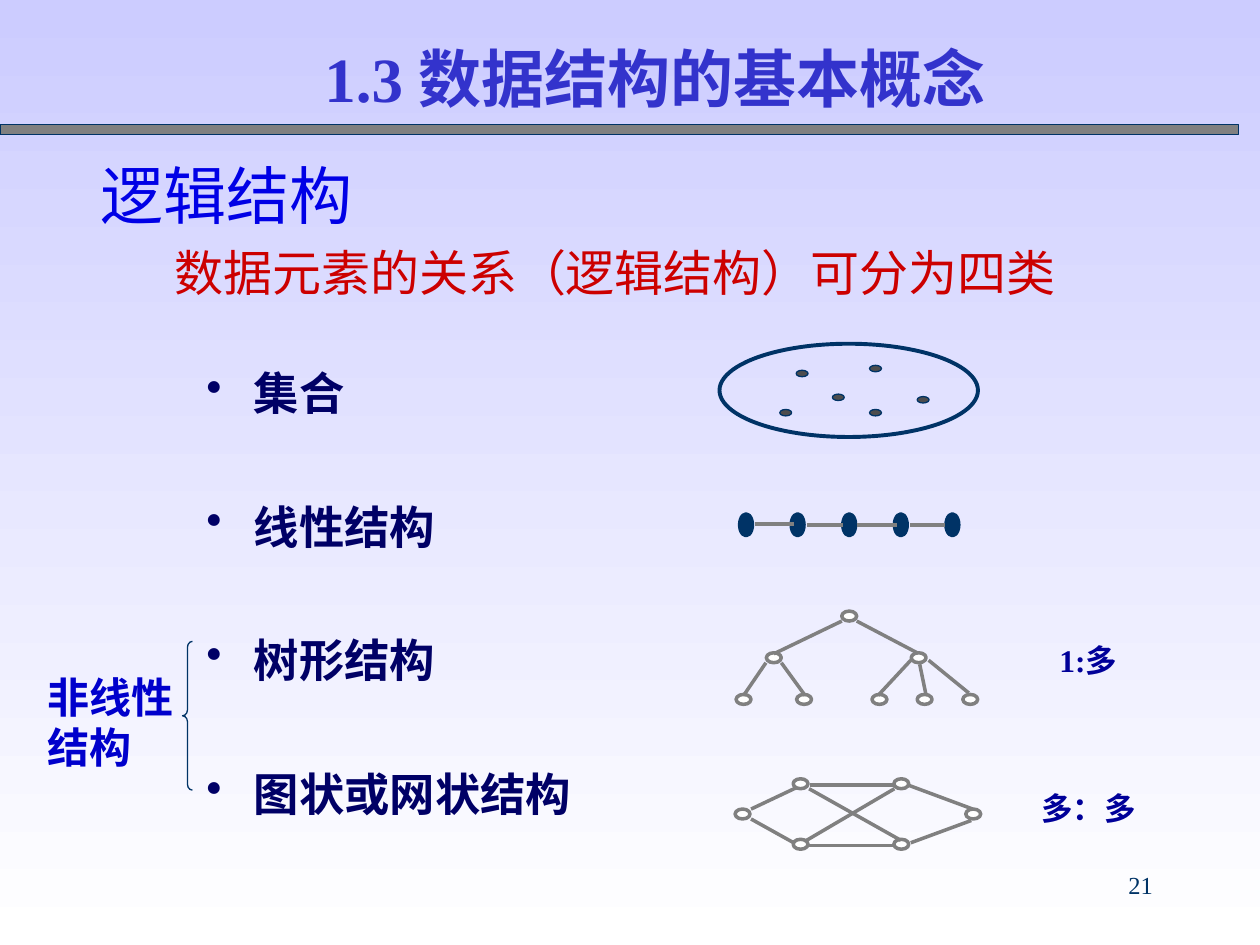
import pptx
import pptx.dml.color
import pptx.enum.shapes
import pptx.enum.text
import pptx.oxml.ns
import pptx.util
from lxml import etree

Cm = pptx.util.Cm
Pt = pptx.util.Pt
RGB = pptx.dml.color.RGBColor
KIND = pptx.enum.shapes.MSO_SHAPE
ALIGN = pptx.enum.text.PP_ALIGN
ANCHOR = pptx.enum.text.MSO_ANCHOR

LILAC = RGB(0xCC, 0xCC, 0xFF)
WHITE = RGB(0xFF, 0xFF, 0xFF)
GREY = RGB(0x80, 0x80, 0x80)
SMOKE = RGB(0x4D, 0x4D, 0x4D)
NAVY = RGB(0x00, 0x33, 0x66)
TITLE = RGB(0x33, 0x33, 0xCC)
HEAD = RGB(0x00, 0x00, 0xE6)
RED = RGB(0xCC, 0x00, 0x00)
INK = RGB(0x00, 0x00, 0x66)
LABEL = RGB(0x00, 0x00, 0x99)
SIDE = RGB(0x00, 0x00, 0xCC)

LATIN = "Times New Roman"
HAN = "Noto Sans CJK SC"

DOTS = [(16.17, 7.53), (17.65, 7.43), (15.84, 8.32),
        (17.65, 8.32), (16.9, 8.01), (18.61, 8.06)]
LINKS = [(15.21, 10.57, 16, 10.57), (16.26, 10.59, 16.99, 10.59),
         (17.27, 10.59, 18.08, 10.59), (18.34, 10.59, 19.05, 10.59)]
TREE = [(17.12, 12.42), (15.6, 13.26), (18.52, 13.26), (14.99, 14.1),
        (16.21, 14.1), (17.73, 14.1), (18.64, 14.1), (19.56, 14.1)]
TWIGS = [(16.97, 12.52, 15.6, 13.18), (15.44, 13.36, 14.99, 14.02),
         (15.75, 13.36, 16.23, 14.02), (17.27, 12.52, 18.49, 13.16),
         (18.36, 13.31, 17.7, 14.02), (18.72, 13.31, 19.53, 13.97),
         (18.54, 13.39, 18.67, 14.02)]
GRAPH = [(16.14, 15.8), (14.97, 16.41), (16.14, 17.02),
         (18.17, 15.8), (19.62, 16.41), (18.17, 17.02)]
EDGES = [(15.14, 16.31, 16.05, 15.88), (15.14, 16.51, 16, 16.99),
         (16.33, 15.82, 18.03, 15.82), (16.31, 17.04, 18.01, 17.04),
         (18.29, 15.82, 19.61, 16.31), (18.36, 16.99, 19.58, 16.54),
         (16.31, 15.9, 18.16, 16.94), (18.03, 15.9, 16.26, 16.94)]


def add_tag(parent, name, **attrs):
    return etree.SubElement(parent, pptx.oxml.ns.qn(name), attrs)


def add_form(slide, kind, box, fill, line, width):
    form = slide.shapes.add_shape(kind, *map(Cm, box))
    form.shadow.inherit = False
    if fill is None:
        form.fill.background()
    else:
        form.fill.solid()
        form.fill.fore_color.rgb = fill
    form.line.color.rgb = line
    form.line.width = Pt(width)
    return form


def add_ovals(slide, spots, wide, high, fill, line, width):
    """Draw equal ellipses centred on the spots."""
    for x, y in spots:
        box = (x - wide / 2, y - high / 2, wide, high)
        add_form(slide, KIND.OVAL, box, fill, line, width)


def add_lines(slide, ends, width):
    for end in ends:
        line = slide.shapes.add_connector(
            pptx.enum.shapes.MSO_CONNECTOR.STRAIGHT, *map(Cm, end))
        line.line.color.rgb = GREY
        line.line.width = Pt(width)
        add_tag(line._element.spPr, "a:effectLst")


def style(para, size, color, bold=False, latin=LATIN):
    para.line_spacing = Pt(round(size * 1.2, 1))
    for run in para.runs:
        run.font.size = Pt(size)
        run.font.bold = bold
        run.font.color.rgb = color
        run.font.name = latin
        add_tag(run._r.get_or_add_rPr(), "a:ea", typeface=HAN)


def add_box(slide, box, text, size):
    """Add a wrapping text box whose top inset suits the text size."""
    frame = slide.shapes.add_textbox(*map(Cm, box)).text_frame
    frame.word_wrap = True
    frame.margin_top = Pt(round(3.6 + 0.11 * size, 1))
    frame.text = text
    return frame


def add_label(slide, box, text, size, color, align=ALIGN.CENTER, bold=True):
    para = add_box(slide, box, text, size).paragraphs[0]
    para.alignment = align
    style(para, size, color, bold)


def add_heads(slide):
    frame = add_box(slide, (1.27, 2.74, 22.86, 3.61),
                    "逻辑结构\n数据元素的关系（逻辑结构）可分为四类", 36)
    frame.vertical_anchor = ANCHOR.MIDDLE
    head, sub = frame.paragraphs
    head._p.get_or_add_pPr().set("marL", str(Cm(0.5)))
    sub._p.get_or_add_pPr().set("marL", str(Cm(2)))
    sub.space_before = Pt(6)
    style(head, 36, HEAD, latin=HAN)
    style(sub, 28, RED)


def add_list(slide, items):
    frame = add_box(slide, (3.91, 7.14, 13.5, 9.8), "\n".join(items), 25.9)
    for spot, para in enumerate(frame.paragraphs):
        props = para._p.get_or_add_pPr()
        props.set("marL", str(Cm(0.96)))
        props.set("indent", str(Cm(-0.96)))
        tint = add_tag(props, "a:buClr")
        add_tag(tint, "a:srgbClr", val=str(INK))
        add_tag(props, "a:buChar", char="•")
        if spot:
            para.space_before = Pt(45.2)
        style(para, 25.9, INK, True)


def paint_back(slide):
    fill = slide.background.fill
    fill.gradient()
    fill.gradient_angle = 270
    for stop, color in zip(fill.gradient_stops, (LILAC, WHITE)):
        stop.color.rgb = color


def main():
    deck = pptx.Presentation()
    deck.slide_width, deck.slide_height = Cm(25.4), Cm(19.05)
    slide = deck.slides.add_slide(deck.slide_layouts[6])
    paint_back(slide)
    add_form(slide, KIND.RECTANGLE, (0, 2.51, 24.97, 0.2), GREY, NAVY, 0.75)
    add_heads(slide)
    add_list(slide, ["集合", "线性结构", "树形结构", "图状或网状结构"])

    chain = [(15.04 + 1.04 * step, 10.58) for step in range(5)]
    add_ovals(slide, chain, 0.25, 0.43, NAVY, NAVY, 2.25)
    add_lines(slide, LINKS, 2.25)
    for nodes, ends in ((TREE, TWIGS), (GRAPH, EDGES)):
        add_ovals(slide, nodes, 0.3, 0.2, WHITE, GREY, 2)
        add_lines(slide, ends, 2)

    add_label(slide, (5.89, 0.53, 14.63, 1.78),
              "1.3 数据结构的基本概念", 36, TITLE)
    add_label(slide, (20.35, 12.73, 3.18, 1.02), "1:多", 18, LABEL)
    add_label(slide, (20.35, 15.7, 3.18, 1.02), "多：多", 18, LABEL)
    brace = add_form(slide, KIND.LEFT_BRACE, (3.68, 12.93, 0.2, 3),
                     None, NAVY, 0.75)
    brace.adjustments[0] = 0.6
    add_label(slide, (0.71, 13.31, 3.4, 2.29), "非线性结构", 24, SIDE,
              ALIGN.LEFT)

    add_ovals(slide, [(17.11, 7.87)], 5.21, 1.88, None, NAVY, 2.25)
    add_ovals(slide, DOTS, 0.24, 0.13, SMOKE, NAVY, 0.75)
    add_label(slide, (18.21, 17.35, 5.28, 1.27), "21", 14, NAVY,
              ALIGN.RIGHT, False)
    deck.save("out.pptx")


if __name__ == "__main__":
    main()
